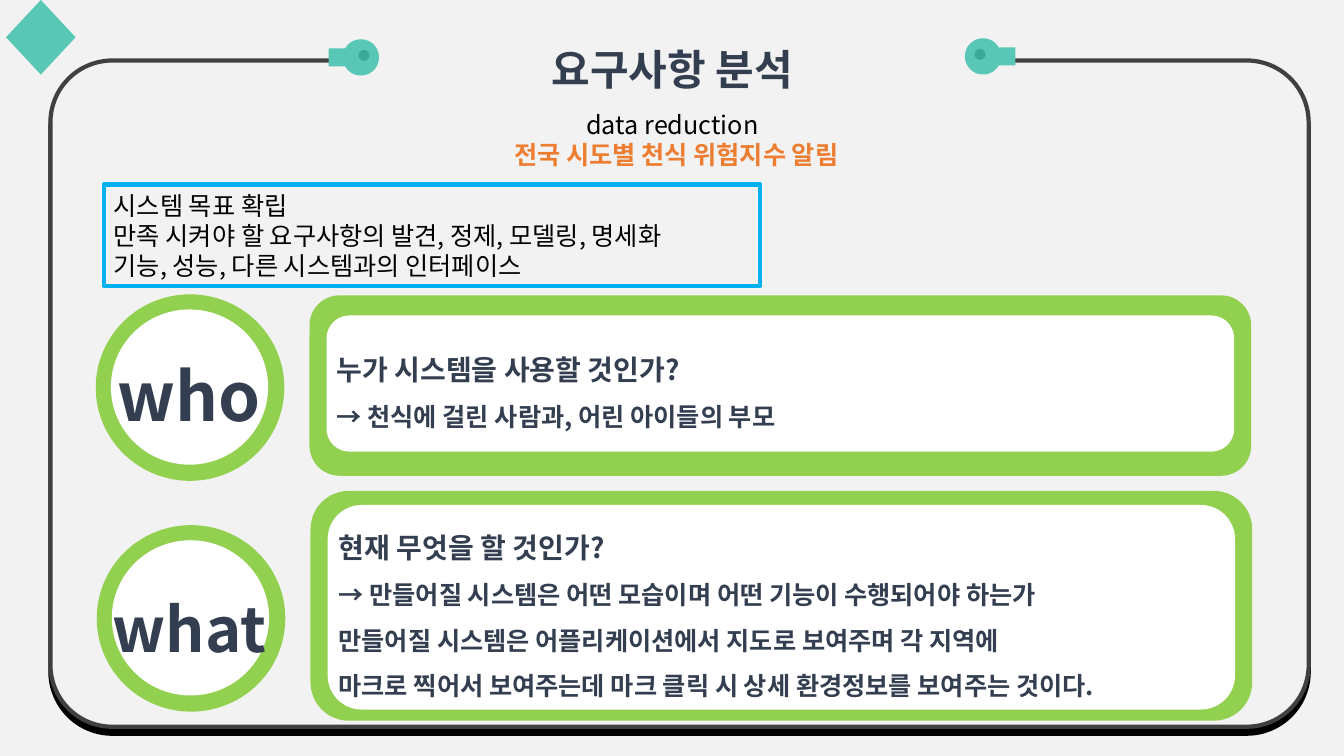
from math import asin, cos, pi, sin

from lxml.etree import SubElement
from pptx import Presentation
from pptx.dml.color import RGBColor
from pptx.enum.shapes import MSO_SHAPE
from pptx.enum.text import MSO_ANCHOR, MSO_AUTO_SIZE, PP_ALIGN
from pptx.oxml.ns import qn
from pptx.util import Inches, Pt

GRAY, TEAL, DARK_TEAL = "F2F2F2", "59C7B6", "39A999"
GREEN, WHITE, NAVY, BLACK = "92D050", "FFFFFF", "333F50", "000000"


def color(value):
    return RGBColor.from_string(value)


class SlideBuilder:
    font_name = "Noto Sans CJK KR"

    def __init__(self, presentation):
        self.slide = presentation.slides.add_slide(presentation.slide_layouts[6])

    def background(self, fill):
        self.slide.background.fill.solid()
        self.slide.background.fill.fore_color.rgb = color(fill)

    def paint(self, shape, fill=None, line=None, width=3):
        shape.shadow.inherit = False
        if fill:
            shape.fill.solid()
            shape.fill.fore_color.rgb = color(fill)
        else:
            shape.fill.background()
        if line:
            shape.line.color.rgb = color(line)
            shape.line.width = Pt(width)
        else:
            shape.line.fill.background()
        return shape

    def shape(self, kind, box, fill=None, line=None, radius=None):
        shape = self.slide.shapes.add_shape(kind, *map(Inches, box))
        if radius is not None:
            shape.adjustments[0] = radius
        return self.paint(shape, fill, line)

    def drop_shadow(self, shape, distance):
        effects = shape._element.spPr.find(qn("a:effectLst"))
        shadow = SubElement(effects, qn("a:outerShdw"), blurRad="0", dist=str(Pt(distance)),
                            dir="5400000", algn="t", rotWithShape="0")
        SubElement(shadow, qn("a:srgbClr"), val=BLACK)

    def text(self, shape, lines, align=PP_ALIGN.LEFT, spacing=None, anchor=MSO_ANCHOR.MIDDLE, wrap=True):
        frame = shape.text_frame
        frame_format = {"word_wrap": wrap, "auto_size": MSO_AUTO_SIZE.SHAPE_TO_FIT_TEXT,
                        "vertical_anchor": anchor}
        for name, value in frame_format.items():
            setattr(frame, name, value)
        for index, (content, size, text_color, bold) in enumerate(lines):
            paragraph = frame.paragraphs[0] if index == 0 else frame.add_paragraph()
            paragraph.alignment = align
            paragraph.line_spacing = spacing
            run = paragraph.add_run()
            run.text = content
            font_format = {"name": self.font_name, "size": Pt(size), "bold": bold}
            for name, value in font_format.items():
                setattr(run.font, name, value)
            run.font.color.rgb = color(text_color)
            SubElement(run.font._element, qn("a:ea"), typeface=self.font_name)

    def text_box(self, box, lines, **options):
        shape = self.slide.shapes.add_textbox(*map(Inches, box))
        self.text(shape, lines, anchor=MSO_ANCHOR.TOP, **options)

    def pin(self, center_x, center_y, direction):
        radius, half_stem, stem_length, steps = 0.18, 0.09, 0.32, 32
        start = asin(half_stem / radius)
        angles = [start + (2 * pi - 2 * start) * step / steps for step in range(steps + 1)]
        outline = [(stem_length, half_stem)]
        outline += [(radius * cos(angle), radius * sin(angle)) for angle in angles]
        outline += [(stem_length, -half_stem)]
        points = [(Inches(center_x + direction * x), Inches(center_y + y)) for x, y in outline]
        builder = self.slide.shapes.build_freeform(*points[0])
        builder.add_line_segments(points[1:], close=True)
        self.paint(builder.convert_to_shape(), TEAL)
        dot = 0.11
        dot_x = center_x - direction * 0.03
        self.shape(MSO_SHAPE.OVAL, (dot_x - dot / 2, center_y - 0.02 - dot / 2, dot, dot), DARK_TEAL)

    def ring(self, left, top):
        border = 0.15
        self.shape(MSO_SHAPE.OVAL, (left, top, 1.87, 1.85), GREEN)
        self.shape(MSO_SHAPE.OVAL, (left + border, top + border, 1.56, 1.54), WHITE)

    def section(self, ring, label, label_box, label_size, outer, inner, text_box, lines):
        self.ring(*ring)
        self.text_box(label_box, [(label, label_size, NAVY, True)], align=PP_ALIGN.CENTER, spacing=1.5)
        self.shape(MSO_SHAPE.ROUNDED_RECTANGLE, outer, GREEN)
        self.shape(MSO_SHAPE.ROUNDED_RECTANGLE, inner, WHITE)
        sizes = [20] + [18] * (len(lines) - 1)
        self.text_box(text_box, [(line, size, NAVY, True) for line, size in zip(lines, sizes)], spacing=1.5)


SECTIONS = [
    {"ring": (0.95, 2.92), "label": "who", "label_box": (0.75, 3.07, 2.26, 1.16), "label_size": 48,
     "outer": (3.07, 2.93, 9.34, 1.79), "inner": (3.24, 3.13, 9, 1.35), "text_box": (3.24, 3.28, 9, 1.06),
     "lines": ["누가 시스템을 사용할 것인가?", "→ 천식에 걸린 사람과, 어린 아이들의 부모"]},
    {"ring": (0.96, 5.21), "label": "what", "label_box": (0.75, 5.45, 2.26, 1.07), "label_size": 44,
     "outer": (3.08, 4.87, 9.34, 2.28), "inner": (3.25, 5.01, 9, 2.03), "text_box": (3.26, 5.05, 9, 1.97),
     "lines": ["현재 무엇을 할 것인가?",
               "→ 만들어질 시스템은 어떤 모습이며 어떤 기능이 수행되어야 하는가",
               "만들어질 시스템은 어플리케이션에서 지도로 보여주며 각 지역에",
               "마크로 찍어서 보여주는데 마크 클릭 시 상세 환경정보를 보여주는 것이다."]},
]
GOALS = ["시스템 목표 확립", "만족 시켜야 할 요구사항의 발견, 정제, 모델링, 명세화",
         "기능, 성능, 다른 시스템과의 인터페이스"]


def main():
    presentation = Presentation()
    presentation.slide_width, presentation.slide_height = Inches(13.33), Inches(7.5)
    builder = SlideBuilder(presentation)
    builder.background(GRAY)

    frame = builder.shape(MSO_SHAPE.ROUNDED_RECTANGLE, (0.5, 0.6, 12.48, 6.61), GRAY, "404040", 0.093)
    builder.drop_shadow(frame, 5)
    title = builder.shape(MSO_SHAPE.RECTANGLE, (3.32, 0.13, 6.7, 1.31), GRAY)
    builder.text(title, [("요구사항 분석", 30, NAVY, True), ("data reduction", 18, BLACK, False)],
                 align=PP_ALIGN.CENTER, spacing=1.5)
    builder.pin(9.75, 0.56, 1)
    builder.pin(3.58, 0.57, -1)
    builder.shape(MSO_SHAPE.DIAMOND, (0.06, 0, 0.69, 0.74), TEAL)

    goals = builder.shape(MSO_SHAPE.RECTANGLE, (1.03, 1.83, 6.51, 1.01), line="00B0F0")
    builder.text(goals, [(goal, 18, BLACK, False) for goal in GOALS])
    for section in SECTIONS:
        builder.section(**section)
    builder.text_box((5, 1.33, 3.84, 0.4), [("전국 시도별 천식 위험지수 알림", 18, "ED7D31", True)], wrap=False)

    presentation.save("out.pptx")


if __name__ == "__main__":
    main()
